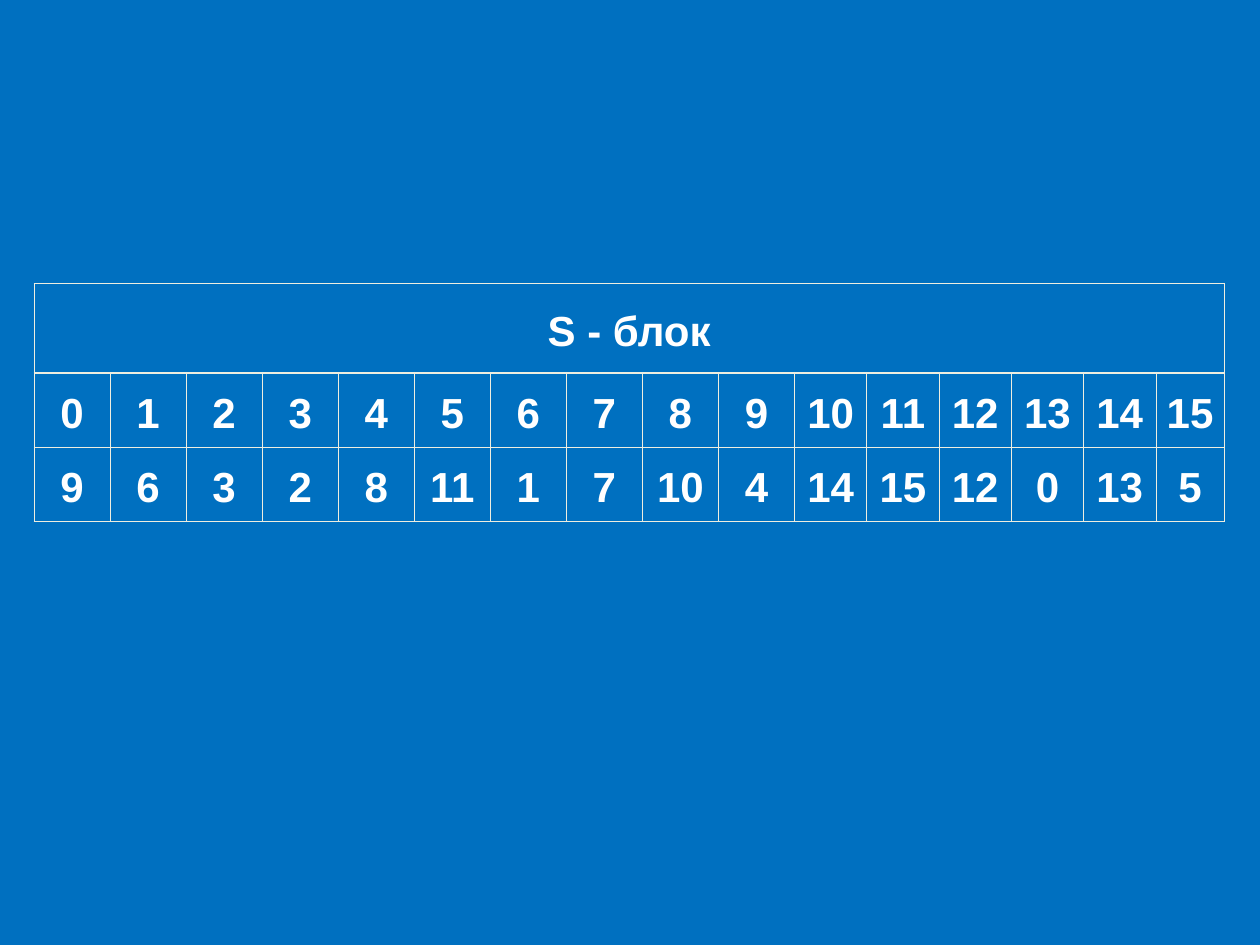
from lxml import etree
from pptx import Presentation
from pptx.dml.color import RGBColor
from pptx.enum.text import MSO_ANCHOR, PP_ALIGN
from pptx.oxml.ns import qn
from pptx.util import Inches, Pt

MIDDLE = MSO_ANCHOR.MIDDLE
CENTER = PP_ALIGN.CENTER
BACKGROUND, BORDER, TEXT = "0070C0", "EEEEE0", "FFFFFF"
THIN, THICK = 0.45, 1.47
TITLE = "S - блок"
INPUTS = range(16)
OUTPUTS = [9, 6, 3, 2, 8, 11, 1, 7, 10, 4, 14, 15, 12, 0, 13, 5]
COLUMN_SHARES = [0.6] * 10 + [0.57] * 5 + [0.54]
ROW_HEIGHTS = [0.71, 0.59, 0.59]


def color(hex_string):
    """Turn a hex string into a colour."""
    return RGBColor.from_string(hex_string)


def set_borders(cell, top, bottom):
    """Draw the four borders of a cell, with the given top and bottom widths."""
    properties = cell._tc.get_or_add_tcPr()
    for side, width in (("L", THIN), ("R", THIN), ("T", top), ("B", bottom)):
        line = etree.SubElement(properties, qn(f"a:ln{side}"), w=str(Pt(width)))
        fill = etree.SubElement(line, qn("a:solidFill"))
        etree.SubElement(fill, qn("a:srgbClr"), val=BORDER)


def write_cell(cell, text):
    """Write centred bold text into a cell."""
    cell.vertical_anchor = MIDDLE
    paragraph = cell.text_frame.paragraphs[0]
    paragraph.alignment = CENTER
    paragraph.line_spacing = 1.15
    run = paragraph.add_run()
    run.text = text
    run.font.name = "Arial"
    run.font.size = Pt(24)
    run.font.bold = True
    run.font.color.rgb = color(TEXT)


def add_substitution_table(slide, left, top, width, height):
    """Place the substitution table with its title row in the given box."""
    shape = slide.shapes.add_table(
        3, 16, Inches(left), Inches(top), Inches(width), Inches(height))
    table = shape.table
    table.first_row = False
    table.horz_banding = False
    for column, share in zip(table.columns, COLUMN_SHARES):
        column.width = Inches(width * share / sum(COLUMN_SHARES))
    for row, share in zip(table.rows, ROW_HEIGHTS):
        row.height = Inches(height * share / sum(ROW_HEIGHTS))

    row_borders = [(THIN, THICK), (THICK, THIN), (THIN, THIN)]
    for row, (top_width, bottom_width) in zip(table.rows, row_borders):
        for cell in row.cells:
            set_borders(cell, top_width, bottom_width)
            cell.fill.background()
            cell.margin_left = cell.margin_right = Inches(0.08)
            cell.margin_top = cell.margin_bottom = Inches(0.05)

    table.cell(0, 0).merge(table.cell(0, 15))
    write_cell(table.cell(0, 0), TITLE)
    for row_index, values in enumerate((INPUTS, OUTPUTS), start=1):
        for column_index, value in enumerate(values):
            write_cell(table.cell(row_index, column_index), str(value))


def main():
    """Build and save the slide."""
    presentation = Presentation()
    presentation.slide_width = Inches(10)
    presentation.slide_height = Inches(7.5)
    slide = presentation.slides.add_slide(presentation.slide_layouts[6])
    slide.background.fill.solid()
    slide.background.fill.fore_color.rgb = color(BACKGROUND)
    add_substitution_table(slide, 0.27, 2.25, 9.45, 1.89)
    presentation.save("out.pptx")


if __name__ == "__main__":
    main()
